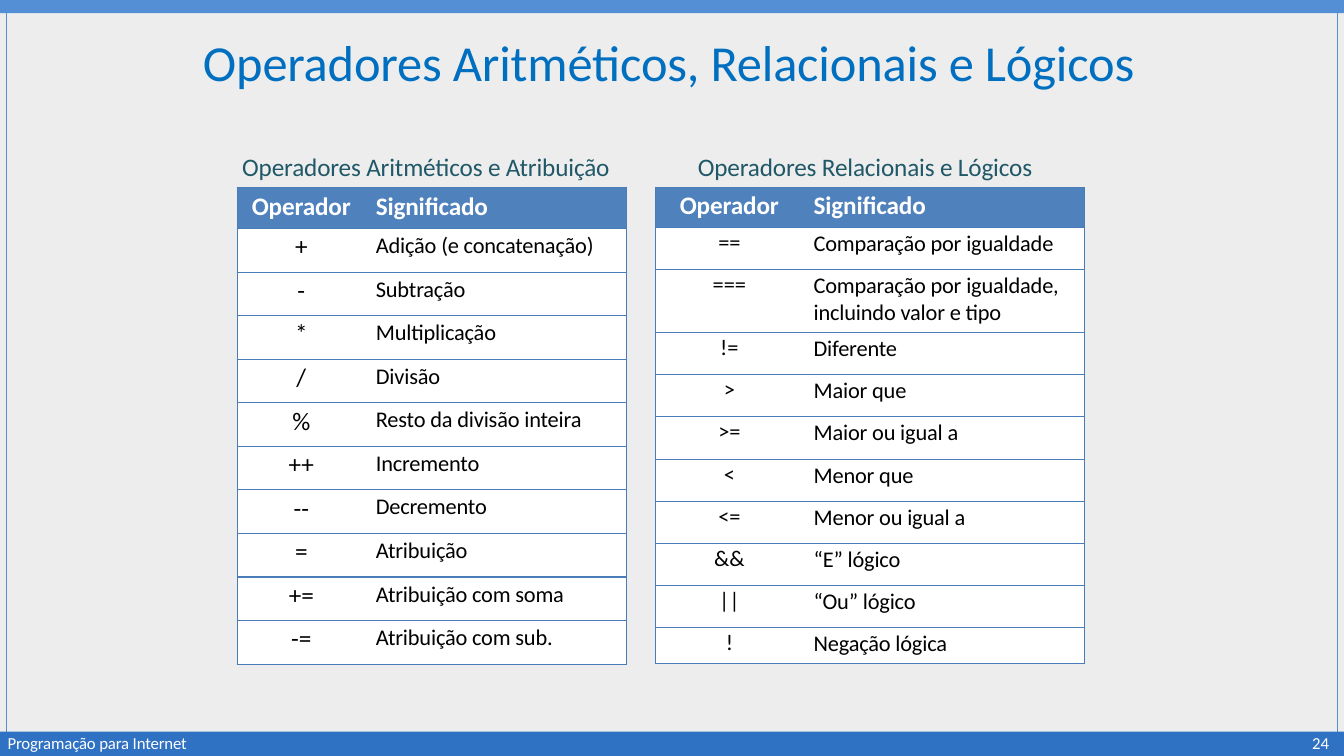
from lxml.etree import SubElement
from pptx import Presentation
from pptx.dml.color import RGBColor
from pptx.enum.shapes import MSO_SHAPE as SHAPE
from pptx.enum.text import PP_ALIGN as ALIGN
from pptx.oxml.ns import qn
from pptx.util import Pt

COLORS = {
    "panel": "EDEDED", "frame": "548ED4", "footer": "2F71C2",
    "title": "006FC0", "caption": "205868", "header": "4F81BC",
    "border": "497DBA", "white": "FFFFFF", "black": "000000",
}
PLAIN_TABLE_STYLE = "{2D5ABB26-0587-4C30-8999-92F81FD0307C}"
HEADER = ("Operador", "Significado")
ARITHMETIC = [
    ("+", "Adição (e concatenação)"),
    ("-", "Subtração"),
    ("*", "Multiplicação"),
    ("/", "Divisão"),
    ("%", "Resto da divisão inteira"),
    ("++", "Incremento"),
    ("--", "Decremento"),
    ("=", "Atribuição"),
    ("+=", "Atribuição com soma"),
    ("-=", "Atribuição com sub."),
]
RELATIONAL = [
    ("==", "Comparação por igualdade"),
    ("===", "Comparação por igualdade, incluindo valor e tipo"),
    ("!=", "Diferente"),
    (">", "Maior que"),
    (">=", "Maior ou igual a"),
    ("<", "Menor que"),
    ("<=", "Menor ou igual a"),
    ("&&", "“E” lógico"),
    ("||", "“Ou” lógico"),
    ("!", "Negação lógica"),
]


def rgb(name):
    return RGBColor.from_string(COLORS[name])


def write(tf, text, size=16, color="black", bold=False, align=ALIGN.LEFT,
          spacing=-0.1, line=None, left=0, top=0):
    tf.word_wrap = True
    p = tf.paragraphs[0]
    p.alignment = align
    if line:
        p.line_spacing = Pt(line)
    r = p.add_run()
    r.text = text
    r.font.name = "Calibri"
    r.font.size = Pt(size)
    r.font.bold = bold
    r.font.color.rgb = rgb(color)
    r.font._element.set("spc", str(round(spacing * 100)))
    tf.margin_left, tf.margin_top = Pt(left), Pt(top)
    tf.margin_right = tf.margin_bottom = 0


def add_text(slide, x, y, w, h, text, **fmt):
    box = slide.shapes.add_textbox(Pt(x), Pt(y), Pt(w), Pt(h))
    write(box.text_frame, text, **fmt)


def add_rect(slide, x, y, w, h, fill=None, line=None):
    sp = slide.shapes.add_shape(SHAPE.RECTANGLE, Pt(x), Pt(y), Pt(w), Pt(h))
    sp.shadow.inherit = False
    if fill:
        sp.fill.solid()
        sp.fill.fore_color.rgb = rgb(fill)
    else:
        sp.fill.background()
    if line:
        sp.line.color.rgb = rgb(line)
        sp.line.width = Pt(0.75)
    else:
        sp.line.fill.background()


def add_border(cell, side, width=0.75):
    ln = SubElement(cell._tc.get_or_add_tcPr(), qn(f"a:ln{side}"), w=str(Pt(width)))
    fill = SubElement(ln, qn("a:solidFill"))
    SubElement(fill, qn("a:srgbClr"), val=COLORS["border"])


def fill_cell(cell, text, fill, side, left, top, thick_top=False,
              thick_bottom=False, **fmt):
    add_border(cell, side)
    add_border(cell, "T", 1 if thick_top else 0.75)
    add_border(cell, "B", 1 if thick_bottom else 0.75)
    cell.fill.solid()
    cell.fill.fore_color.rgb = rgb(fill)
    write(cell.text_frame, text, **fmt)
    cell.margin_left, cell.margin_top = Pt(left), Pt(top)
    cell.margin_right = cell.margin_bottom = 0


def add_operators(slide, x, y, rows, widths, heights, operator_size, indents,
                  header_top, tops, thick_after=None):
    shape = slide.shapes.add_table(len(rows) + 1, 2, Pt(x), Pt(y),
                                   Pt(sum(widths)), Pt(sum(heights)))
    table = shape.table
    table.horz_banding = False
    table._tbl.tblPr.find(qn("a:tableStyleId")).text = PLAIN_TABLE_STYLE
    for col, width in zip(table.columns, widths):
        col.width = Pt(width)
    for row, height in zip(table.rows, heights):
        row.height = Pt(height)

    sizes = (operator_size, 16)
    for i, texts in enumerate([HEADER] + rows):
        head = i == 0
        for j, text in enumerate(texts):
            fill_cell(
                table.cell(i, j), text,
                fill="header" if head else "white",
                side="LR"[j], left=indents[j],
                top=header_top if head else tops[j],
                thick_top=thick_after is not None and i == thick_after + 1,
                thick_bottom=i == thick_after,
                size=18 if head else sizes[j],
                color="white" if head else "black", bold=head,
                align=ALIGN.LEFT if j else ALIGN.CENTER,
                spacing=-0.1 if head or j else 0)


def main():
    prs = Presentation()
    prs.slide_width, prs.slide_height = Pt(960), Pt(540)
    slide = prs.slides.add_slide(prs.slide_layouts[6])

    # Background and frame
    add_rect(slide, 0, 9.4, 960, 513.4, fill="panel")
    add_rect(slide, 4.8, 3.4, 950.4, 521.8, line="frame")
    add_rect(slide, 0, 522.6, 960, 17.4, fill="footer")
    add_rect(slide, 0, 0, 960, 9.4, fill="frame")

    # Title and footer
    add_text(slide, 144, 21, 674, 45, "Operadores Aritméticos, Relacionais e Lógicos",
             size=36, color="title", left=1, top=1)
    footer = dict(size=12, color="white", line=12.4)
    add_text(slide, 4.4, 525.3, 134, 14, "Programação para Internet", left=1, **footer)
    add_text(slide, 934.4, 525.3, 20, 14, "24", left=2.8, spacing=0, **footer)

    # Arithmetic and assignment operators
    caption = dict(size=18, color="caption", left=1, top=1)
    add_text(slide, 172, 107.4, 270, 24, "Operadores Aritméticos e Atribuição", **caption)
    add_operators(slide, 169.4, 134.2, ARITHMETIC, widths=(90.5, 187.5),
                  heights=[29] + [31.14] * 10, operator_size=18,
                  indents=(1.2, 8.6), header_top=2.8, tops=(2.4, 2.6), thick_after=8)

    # Relational and logical operators
    add_text(slide, 497.5, 107.4, 246, 24, "Operadores Relacionais e Lógicos", **caption)
    add_operators(slide, 468, 134.2, RELATIONAL, widths=(101, 205.5),
                  heights=[28.5, 29.8, 45.2] + [30.1] * 7 + [26], operator_size=16,
                  indents=(5, 12.2), header_top=2, tops=(1.2, 1.9))

    prs.save("out.pptx")


if __name__ == "__main__":
    main()
